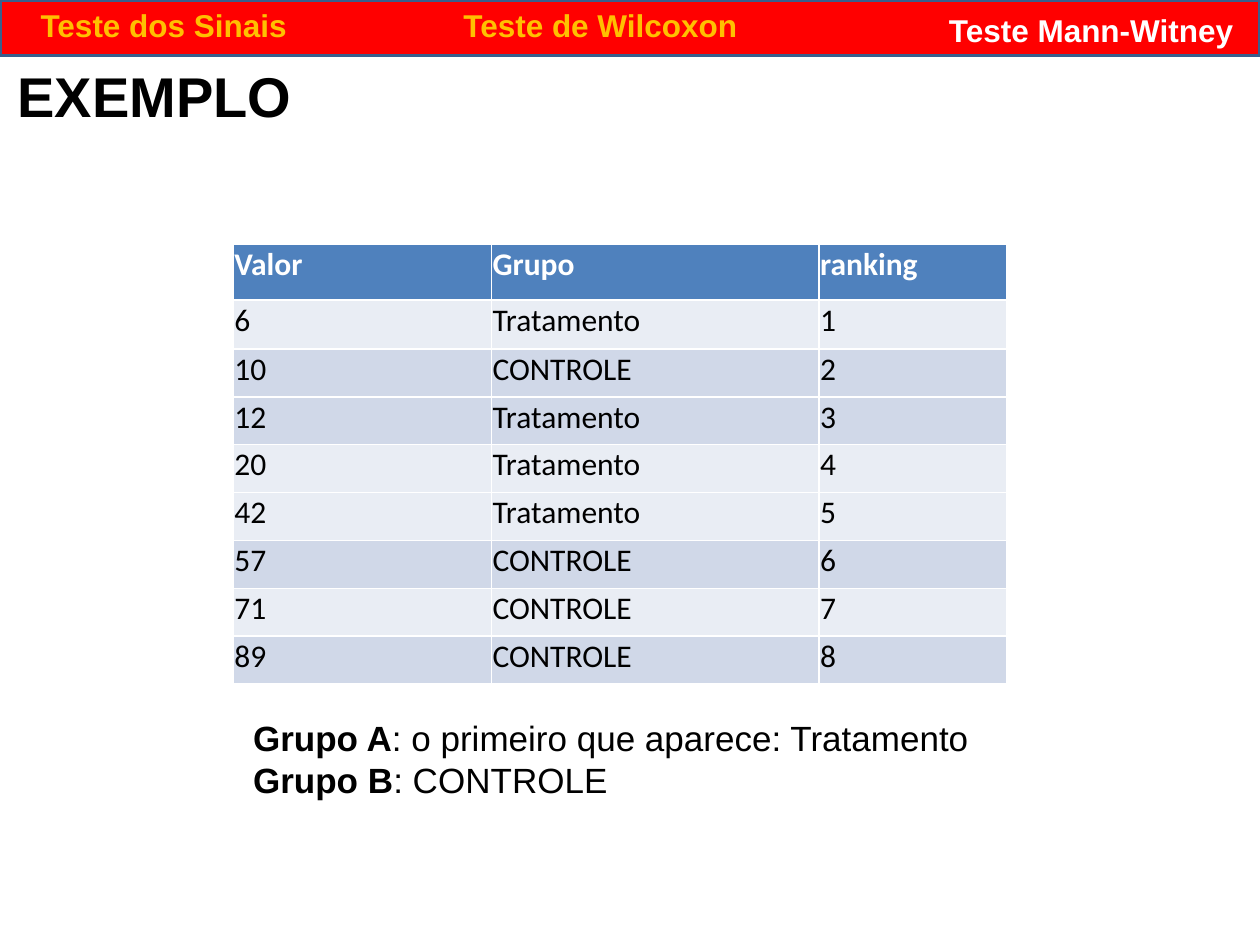
"""Build the Mann-Witney example slide: navigation bar, ranking table and group notes."""
from lxml.etree import SubElement
from pptx import Presentation
from pptx.dml.color import RGBColor
from pptx.enum.shapes import MSO_SHAPE as Shape
from pptx.enum.text import MSO_AUTO_SIZE as AutoSize, PP_ALIGN as Align
from pptx.oxml.ns import qn
from pptx.util import Inches, Pt

RED = RGBColor(0xFF, 0x00, 0x00)
NAVY = RGBColor(0x3A, 0x5F, 0x8C)
GOLD = RGBColor(0xFF, 0xC0, 0x00)
WHITE = RGBColor(0xFF, 0xFF, 0xFF)
BLACK = RGBColor(0x00, 0x00, 0x00)
BLUE = RGBColor(0x4F, 0x81, 0xBD)
PALE = RGBColor(0xE9, 0xED, 0xF4)
MIST = RGBColor(0xD0, 0xD8, 0xE8)

WIDTH, HEIGHT, BAR_HEIGHT = 10, 7.5, 0.44
TABS = [
    ("Teste dos Sinais", (0, 0, 2.6, 0.4), GOLD),
    ("Teste Mann-Witney", (7.36, 0.04, 2.6, 0.4), WHITE),
    ("Teste de Wilcoxon", (3.11, 0, 3.31, 0.4), GOLD),
]
HEADINGS = ("Valor", "Grupo", "ranking")
OBSERVATIONS = [
    (6, "Tratamento", PALE),
    (10, "CONTROLE", MIST),
    (12, "Tratamento", MIST),
    (20, "Tratamento", PALE),
    (42, "Tratamento", PALE),
    (57, "CONTROLE", MIST),
    (71, "CONTROLE", PALE),
    (89, "CONTROLE", MIST),
]
COLUMN_WIDTHS = (2.05, 2.6, 1.49)
ROW_HEIGHTS = [0.44, 0.39] + [0.38] * (len(OBSERVATIONS) - 1)
GROUPS = [
    [("Grupo A", True), (": o primeiro que aparece: Tratamento", False)],
    [("Grupo B", True), (": CONTROLE", False)],
]


def write(frame, lines, size=18, color=BLACK, font="Arial", align=Align.LEFT):
    """Fill a text frame with lines made of (text, bold) pairs."""
    for index, line in enumerate(lines):
        paragraph = frame.add_paragraph() if index else frame.paragraphs[0]
        paragraph.alignment = align
        for text, bold in line:
            run = paragraph.add_run()
            run.text = text
            run.font.name, run.font.size, run.font.bold = font, Pt(size), bold
            run.font.color.rgb = color


def add_text(slide, box, lines, wrap=False, **style):
    frame = slide.shapes.add_textbox(*map(Inches, box)).text_frame
    frame.word_wrap = wrap
    frame.auto_size = AutoSize.SHAPE_TO_FIT_TEXT
    write(frame, lines, **style)


def add_borders(cell, widths):
    properties = cell._tc.get_or_add_tcPr()
    for side, width in zip("LRTB", widths):
        border = SubElement(properties, qn(f"a:ln{side}"), w=str(Pt(width)))
        fill = SubElement(border, qn("a:solidFill"))
        SubElement(fill, qn("a:srgbClr"), val=str(WHITE))


def add_ranking(slide, left, top):
    rows = [(HEADINGS, BLUE)]
    for rank, (value, group, shade) in enumerate(OBSERVATIONS, 1):
        rows.append(((str(value), group, str(rank)), shade))
    size = (sum(COLUMN_WIDTHS), sum(ROW_HEIGHTS))
    table = slide.shapes.add_table(
        len(rows), len(HEADINGS), *map(Inches, (left, top, *size))).table
    for column, width in zip(table.columns, COLUMN_WIDTHS):
        column.width = Inches(width)
    for index, (texts, shade) in enumerate(rows):
        table.rows[index].height = Inches(ROW_HEIGHTS[index])
        heading = index == 0
        borders = (1, 1, 1.5 if index == 1 else 1, 1.5 if heading else 1)
        for cell, text in zip(table.rows[index].cells, texts):
            cell.margin_left = cell.margin_right = cell.margin_top = Inches(0.01)
            cell.margin_bottom = 0
            add_borders(cell, borders)
            cell.fill.solid()
            cell.fill.fore_color.rgb = shade
            write(cell.text_frame, [[(text, heading)]], font="Calibri",
                  color=WHITE if heading else BLACK)


def main():
    deck = Presentation()
    deck.slide_width, deck.slide_height = Inches(WIDTH), Inches(HEIGHT)
    slide = deck.slides.add_slide(deck.slide_layouts[6])

    bar = slide.shapes.add_shape(
        Shape.RECTANGLE, 0, 0, Inches(WIDTH), Inches(BAR_HEIGHT))
    bar.shadow.inherit = False
    bar.fill.solid()
    bar.fill.fore_color.rgb = RED
    bar.line.color.rgb = NAVY
    bar.line.width = Pt(2)

    for label, box, color in TABS:
        add_text(slide, box, [[(label, True)]], wrap=True, color=color,
                 align=Align.CENTER)
    add_ranking(slide, 1.85, 1.94)
    add_text(slide, (1.91, 5.64, 5.92, 0.77), GROUPS, size=20)
    add_text(slide, (0.04, BAR_HEIGHT, 2.4, 0.64), [[("EXEMPLO", True)]], size=32)
    deck.save("out.pptx")


if __name__ == "__main__":
    main()
